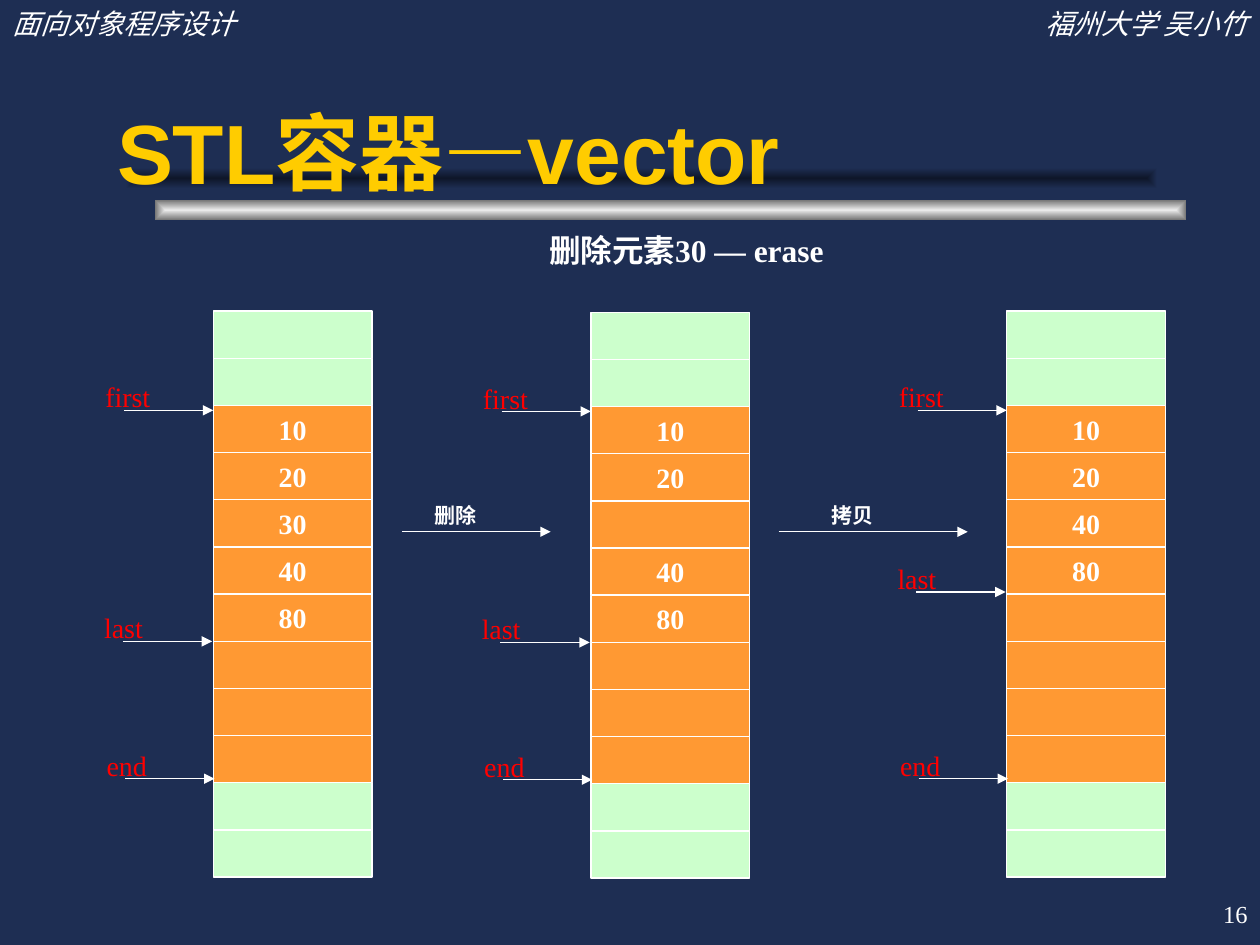
import pptx
import pptx.util
import pptx.dml.color
import pptx.enum.shapes
import pptx.enum.text
import pptx.oxml
import pptx.oxml.ns
from lxml import etree

Pt = pptx.util.Pt
RGBColor = pptx.dml.color.RGBColor
ALIGN = pptx.enum.text.PP_ALIGN
ANCHOR = pptx.enum.text.MSO_ANCHOR
RECT = pptx.enum.shapes.MSO_SHAPE.RECTANGLE

NAVY = RGBColor(0x1E, 0x2E, 0x53)
DARK_NAVY = RGBColor(0x0E, 0x16, 0x29)
SILVER = RGBColor(0xEA, 0xEA, 0xEA)
GREY = RGBColor(0x74, 0x74, 0x74)
WHITE = RGBColor(0xFF, 0xFF, 0xFF)
GOLD = RGBColor(0xFF, 0xCC, 0x00)
RED = RGBColor(0xFF, 0x00, 0x00)
ORANGE = RGBColor(0xFF, 0x99, 0x33)
GREEN = RGBColor(0xCC, 0xFF, 0xCC)

SERIF = "Times New Roman"
CELL_W, CELL_H = 90.7, 26.95
SPARE_ROWS = 2


def write(tf, text, size, color, font=SERIF, bold=False, italic=False, align=ALIGN.LEFT):
    p = tf.paragraphs[0]
    p.text = text
    p.alignment = align
    p.font.name = font
    p.font.size = Pt(size)
    p.font.color.rgb = color
    p.font.bold = bold
    p.font.italic = italic


def add_text(s, x, y, w, h, text, size, color, wrap=True, anchor=ANCHOR.TOP, **style):
    tf = s.shapes.add_textbox(Pt(x), Pt(y), Pt(w), Pt(h)).text_frame
    tf.word_wrap = wrap
    tf.vertical_anchor = anchor
    write(tf, text, size, color, **style)


def add_arrow(s, x1, x2, y):
    line = s.shapes.add_connector(
        pptx.enum.shapes.MSO_CONNECTOR.STRAIGHT, Pt(x1), Pt(y), Pt(x2), Pt(y))
    line.line.color.rgb = WHITE
    line.line.width = Pt(0.75)
    ln = line.line._get_or_add_ln()
    etree.SubElement(ln, pptx.oxml.ns.qn("a:tailEnd"), type="triangle")
    etree.SubElement(line._element.spPr, pptx.oxml.ns.qn("a:effectLst"))


def add_bar(s, x, y, w, h, inner, outer):
    sp = s.shapes.add_shape(RECT, Pt(x), Pt(y), Pt(w), Pt(h))
    sp.shadow.inherit = False
    sp.line.fill.background()
    sp.fill.gradient()
    for stop, color, position in zip(sp.fill.gradient_stops, (inner, outer), (0, 1)):
        stop.color.rgb = color
        stop.position = position
    grad = sp._element.spPr.find(pptx.oxml.ns.qn("a:gradFill"))
    grad.remove(grad.find(pptx.oxml.ns.qn("a:lin")))
    shade = etree.SubElement(grad, pptx.oxml.ns.qn("a:path"), path="rect")
    etree.SubElement(shade, pptx.oxml.ns.qn("a:fillToRect"),
                     l="50000", t="50000", r="50000", b="50000")


def add_header(s, x, y, w, h):
    half = 221.8
    add_text(s, x, y, half, h, "面向对象程序设计", 16, WHITE, italic=True)
    add_text(s, x + w - half, y, half, h, "福州大学 吴小竹", 16, WHITE,
             italic=True, align=ALIGN.RIGHT)


def add_title(s, x, y, w, h):
    add_bar(s, x + 28.8, y + 53.8, 589.3, 11.5, SILVER, GREY)
    add_bar(s, x + 12.2, y + 35.3, 589.3, 12.2, DARK_NAVY, NAVY)
    add_text(s, x, y, w, h, "STL容器—vector", 48, GOLD,
             anchor=ANCHOR.MIDDLE, font="Arial", bold=True)


def add_cell(s, x, y, color, text):
    sp = s.shapes.add_shape(RECT, Pt(x), Pt(y), Pt(CELL_W), Pt(CELL_H))
    sp.shadow.inherit = False
    sp.fill.solid()
    sp.fill.fore_color.rgb = color
    sp.line.color.rgb = WHITE
    sp.line.width = Pt(0.75)
    if text:
        tf = sp.text_frame
        tf.margin_top = tf.margin_bottom = Pt(3.6)
        write(tf, text, 16, WHITE, bold=True, align=ALIGN.CENTER)


def add_vector(s, x, y, values, last_y):
    spare = [""] * SPARE_ROWS
    rows = [(GREEN, v) for v in spare] + [(ORANGE, v) for v in values]
    rows += [(GREEN, v) for v in spare]
    for i, (color, text) in enumerate(rows):
        add_cell(s, x, y + i * CELL_H, color, text)
    pointers = [("first", 0, 56.7), ("last", -0.7, last_y), ("end", 0.7, 267.2)]
    for name, dx, dy in pointers:
        start = x + dx - 51
        add_arrow(s, start, x + dx, y + dy)
        add_text(s, start - 17.8, y + dy - 20.9, 43, 26.6, name, 16, RED)


def add_step(s, x, y, w, label, label_dx):
    add_arrow(s, x, x + w, y)
    add_text(s, x + label_dx, y - 20.2, 40, 21.6, label, 12, WHITE, bold=True)


def main():
    prs = pptx.Presentation()
    prs.slide_width, prs.slide_height = Pt(720), Pt(540)
    s = prs.slides.add_slide(prs.slide_layouts[6])
    s.background.fill.solid()
    s.background.fill.fore_color.rgb = NAVY

    add_header(s, 0, 0, 720, 26.6)
    add_title(s, 59.8, 60.5, 612, 51.8)
    add_text(s, 306.7, 128.2, 175.7, 28.8, "删除元素30 — erase", 18, WHITE,
             wrap=False, bold=True)

    vectors = [
        (121.9, 177.8, ["10", "20", "30", "40", "80", "", "", ""], 188.7),
        (337.7, 178.4, ["10", "20", "", "40", "80", "", "", ""], 188.7),
        (575.3, 177.8, ["10", "20", "40", "80", "", "", "", ""], 160.5),
    ]
    for vector in vectors:
        add_vector(s, *vector)
    add_step(s, 229.7, 303.9, 85, "删除", 11.5)
    add_step(s, 445, 303.9, 108, "拷贝", 23)

    add_text(s, 570.2, 504, 149.8, 36, "16", 14, WHITE,
             anchor=ANCHOR.MIDDLE, align=ALIGN.RIGHT)
    prs.save("out.pptx")


if __name__ == "__main__":
    main()
